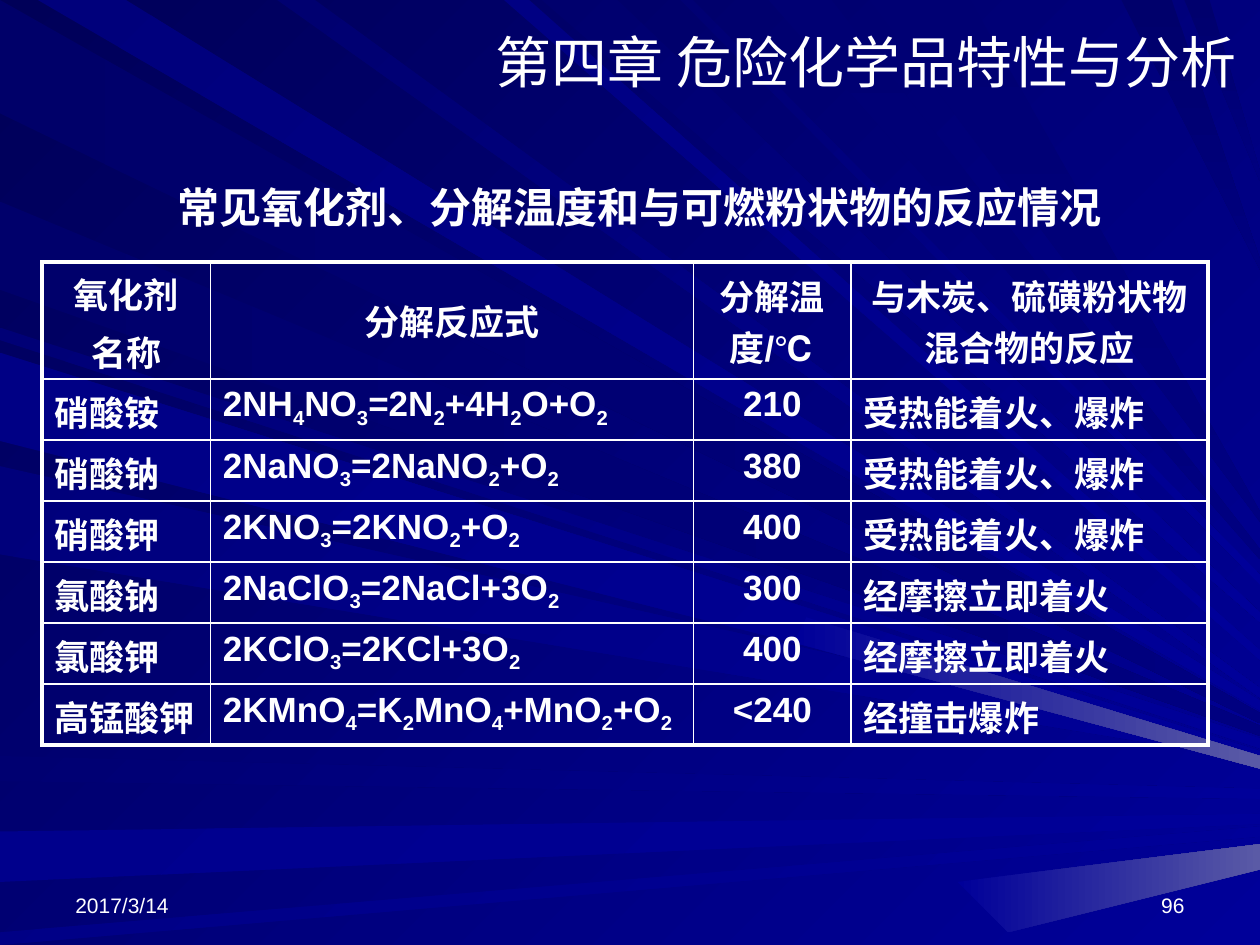
from itertools import groupby
from lxml.etree import SubElement
from pptx import Presentation
from pptx.dml.color import RGBColor as RGB
from pptx.enum.text import MSO_ANCHOR as Anchor, PP_ALIGN as Align
from pptx.oxml.ns import qn
from pptx.util import Cm, Pt

THEME = {
    "ink": "FFFFFF", "dark": "000058", "mid": "000080", "blue": "000099", "pale": "5A5AA6",
    "latin": "Arial", "serif": "Times New Roman", "east": "Noto Sans CJK SC",
    "title": 32, "caption": 24, "cell": 20, "foot": 12,
    "frame": 2.25, "grid": 1,
}
INCH = 2.54
WIDE = 10
TIP = .04

TITLE = "第四章 危险化学品特性与分析"
CAPTION = "常见氧化剂、分解温度和与可燃粉状物的反应情况"
DATE, PAGE = "2017/3/14", "96"

HEADS = ["氧化剂\n名称", "分解反应式", "分解温度/℃", "与木炭、硫磺粉状物混合物的反应"]
ROWS = [
    ["硝酸铵", "2NH4NO3=2N2+4H2O+O2", "210", "受热能着火、爆炸"],
    ["硝酸钠", "2NaNO3=2NaNO2+O2", "380", "受热能着火、爆炸"],
    ["硝酸钾", "2KNO3=2KNO2+O2", "400", "受热能着火、爆炸"],
    ["氯酸钠", "2NaClO3=2NaCl+3O2", "300", "经摩擦立即着火"],
    ["氯酸钾", "2KClO3=2KCl+3O2", "400", "经摩擦立即着火"],
    ["高锰酸钾", "2KMnO4=K2MnO4+MnO2+O2", "<240", "经撞击爆炸"],
]
FORMULA, DEGREE = 1, 2
COLS = [3.39, 9.74, 3.18, 7.19]
HEAD_H, ROW_H = 2.36, 1.23

# Light rays, back to front, in inches: edge they start from, start and end
# along it, height where they meet the right edge, first and last colour
RAYS = [
    ("left", 0, .9, 5.7, "000069", "mid"),
    ("top", .3, 1, 5.6, "00007B", "blue"),
    ("left", 6, 6.2, 6.3, "000071", "blue"),
    ("left", 6.6, 7, 6.5, "00008C", "blue"),
    ("left", 7.4, 7.5, 6.6, "000085", "blue"),
    ("left", 2.6, 2.7, 5.9, "000076", "blue"),
    ("left", 1.6, 2.3, 5.8, "00006B", "mid"),
    ("top", 4, 4.2, 5.2, "000083", "blue"),
    ("top", 4.3, 4.9, 4.9, "00006D", "blue"),
    ("top", 5.4, 5.5, 4.6, "000073", "blue"),
    ("top", 6.1, 6.6, 4.4, "000073", "mid"),
    ("top", 8.9, 9.3, 2.1, "00006B", "mid"),
    ("top", 9.4, 9.6, 1.4, "00006D", "mid"),
    ("left", 2.8, 3.4, 6, "00007E", "blue"),
    ("left", 3.7, 4.4, 6, "00007B", "blue"),
    ("top", 2.2, 2.5, 5.5, "000070", "blue"),
    ("top", 6.9, 7.7, 4.1, "000073", "mid"),
    ("left", 2.8, 3.5, 6, "000085", "blue"),
]
# Pale ends of rays at the right edge
GLINTS = [
    [(10, 6.9), (10, 6.7), (7.6, 7), (8, 7.4)],
    [(10, 6), (6.4, 4.9), (6.3, 5.1), (10, 6.1)],
]


def paint(fill, first, last, angle):
    """Fill with a two-colour gradient turned clockwise."""
    fill.gradient()
    fill.gradient_angle = -angle % 360
    for stop, tint in zip(fill.gradient_stops, (first, last)):
        stop.color.rgb = RGB.from_string(tint)


def add_facet(shapes, corners, *look):
    (x, y), *rest = [(Cm(a * INCH), Cm(b * INCH)) for a, b in corners]
    pen = shapes.build_freeform(x, y)
    pen.add_line_segments(rest, close=True)
    facet = pen.convert_to_shape()
    facet.shadow.inherit = False
    facet.line.fill.background()
    paint(facet.fill, *look)


def add_ray(shapes, edge, near, far, end, first, last):
    left = edge == "left"
    base = [(0, far), (0, near)] if left else [(near, 0), (far, 0)]
    tips = [(WIDE, end - TIP), (WIDE, end + TIP)]
    angle = 45 if last == "blue" else 0 if left else 90
    add_facet(shapes, base + tips, first, THEME[last], angle)


def style(para, size, bold=False, face="latin", align=Align.LEFT):
    para.alignment = align
    for run in para.runs:
        font = run.font
        font.size, font.bold, font.name = Pt(size), bold, THEME[face]
        font.color.rgb = RGB.from_string(THEME["ink"])
        SubElement(run._r.get_or_add_rPr(), qn("a:ea")).set("typeface", THEME["east"])


def add_label(shapes, box, text, size, anchor=Anchor.TOP, spacing=None, **look):
    frame = shapes.add_textbox(*map(Cm, box)).text_frame
    frame.word_wrap = True
    frame.vertical_anchor = anchor
    frame.text = text
    para = frame.paragraphs[0]
    if spacing:
        para.line_spacing = spacing
    style(para, THEME[size], **look)


def set_formula(para, text):
    """Lower each digit that follows a letter."""
    marks = [(c, c.isdigit() and p.isalpha()) for p, c in zip(" " + text, text)]
    for low, part in groupby(marks, key=lambda m: m[1]):
        run = para.add_run()
        run.text = "".join(c for c, _ in part)
        if low:
            run._r.get_or_add_rPr().set("baseline", "-25000")


def set_edges(cell, outer):
    """Draw the four edges, thicker for the sides named in outer."""
    props = cell._tc.get_or_add_tcPr()
    for i, side in enumerate("LRTB"):
        width = THEME["frame" if side in outer else "grid"]
        line = SubElement(props, qn("a:ln" + side), w=str(Pt(width)))
        props.remove(line)
        props.insert(i, line)
        fill = SubElement(line, qn("a:solidFill"))
        SubElement(fill, qn("a:srgbClr"), val=THEME["ink"])


def add_grid(shapes):
    data = [HEADS] + ROWS
    tall = [HEAD_H] + [ROW_H] * len(ROWS)
    table = shapes.add_table(len(data), len(COLS), Cm(.85), Cm(5.28),
                             Cm(sum(COLS)), Cm(sum(tall))).table
    table.first_row = table.horz_banding = False
    for col, width in zip(table.columns, COLS):
        col.width = Cm(width)
    for r, texts in enumerate(data):
        table.rows[r].height = Cm(tall[r])
        for c, text in enumerate(texts):
            cell = table.cell(r, c)
            cell.fill.background()
            if r and c == FORMULA:
                set_formula(cell.text_frame.paragraphs[0], text)
            else:
                cell.text_frame.text = text
            cell.vertical_anchor = Anchor.TOP if r else Anchor.MIDDLE
            mid = r == 0 or c == DEGREE
            for i, para in enumerate(cell.text_frame.paragraphs):
                if i:
                    para.space_before = Pt(4)
                style(para, THEME["cell"], True, align=Align.CENTER if mid else Align.LEFT)
            ends = {"L": c == 0, "R": c == len(COLS) - 1, "T": r == 0, "B": r == len(ROWS)}
            set_edges(cell, [side for side, on in ends.items() if on])


def main():
    deck = Presentation()
    deck.slide_width, deck.slide_height = Cm(25.4), Cm(19.05)
    slide = deck.slides.add_slide(deck.slide_layouts[6])
    shapes = slide.shapes
    paint(slide.background.fill, THEME["dark"], THEME["blue"], 45)
    for ray in RAYS:
        add_ray(shapes, *ray)
    for glint in GLINTS:
        add_facet(shapes, glint, THEME["blue"], THEME["pale"], 0)
    add_label(shapes, (1.27, 17.35, 5.92, 1.27), DATE, "foot", Anchor.BOTTOM)
    add_label(shapes, (18.21, 17.35, 5.92, 1.27), PAGE, "foot", Anchor.BOTTOM, align=Align.RIGHT)
    add_label(shapes, (1.47, 3.81, 22.86, .99), CAPTION, "caption", spacing=.7,
              bold=True, face="serif", align=Align.CENTER)
    add_grid(shapes)
    add_label(shapes, (9.53, .43, 15.87, 2.62), TITLE, "title", align=Align.CENTER)
    deck.save("out.pptx")


if __name__ == "__main__":
    main()
